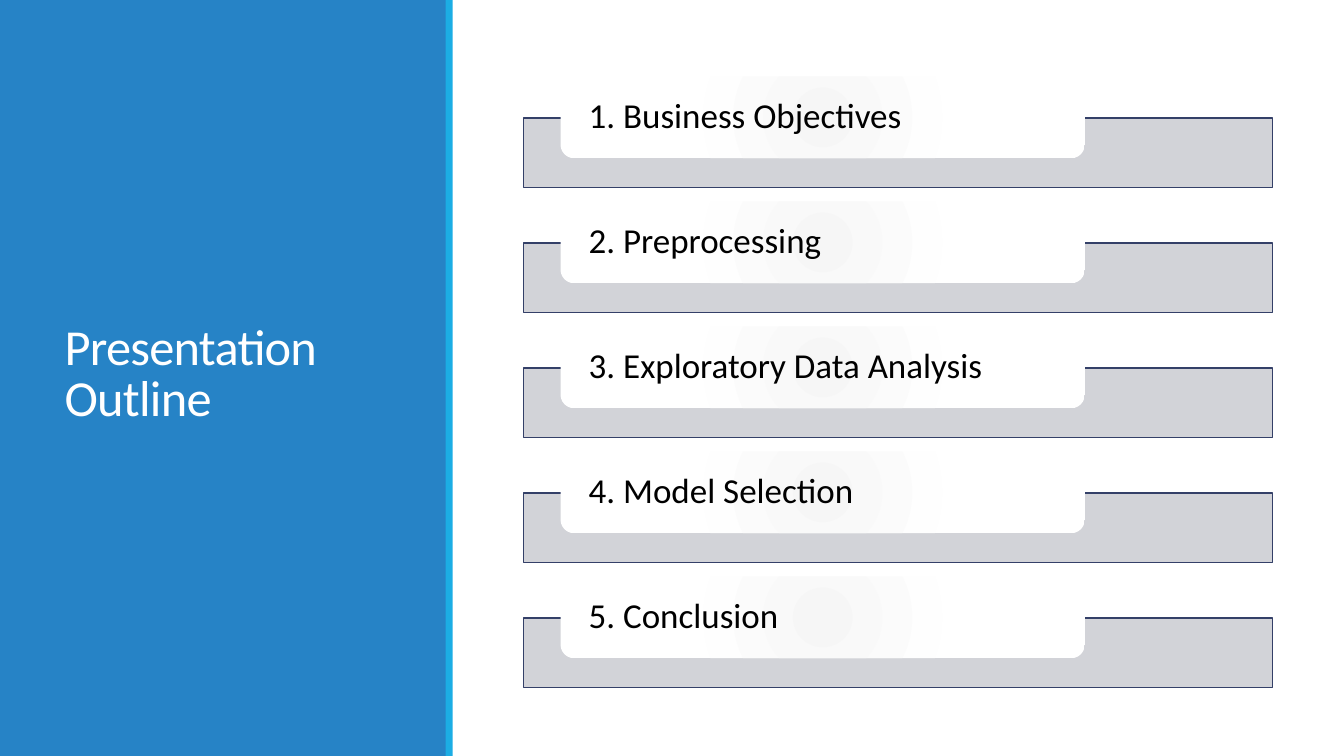
from lxml import etree
from pptx import Presentation
from pptx.dml.color import RGBColor
from pptx.enum.shapes import MSO_SHAPE as SHAPE
from pptx.enum.text import MSO_ANCHOR as ANCHOR, MSO_AUTO_SIZE as AUTO, PP_ALIGN as ALIGN
from pptx.oxml.ns import qn
from pptx.util import Inches, Pt

COLORS = {
    "panel": "2683C6", "stripe": "1CADE4", "bar": "CECFD4", "outline": "344068",
    "glow": "F6F6F6", "tab_mid": "FEFEFE", "tab": "FFFFFF",
    "text": "000000", "title": "FFFFFF",
}
TOPICS = ["Business Objectives", "Preprocessing", "Exploratory Data Analysis",
          "Model Selection", "Conclusion"]
FIRST_BAR_TOP, PITCH = 1.17, 1.24
TAB_RISE = 0.41


def rgb(name):
    """Return the palette colour of that name."""
    return RGBColor.from_string(COLORS[name])


def set_attrs(obj, values):
    """Set each attribute of obj from a dict."""
    for name, value in values.items():
        setattr(obj, name, value)


class SlideBuilder:
    """Holds the text style and the current slide."""

    font = "Calibri"
    tab_stops = [(0, "glow"), (45, "tab_mid"), (100, "tab")]

    def __init__(self, slide):
        """Keep the slide to draw on."""
        self.slide = slide
        self.shapes = slide.shapes

    def shape(self, kind, box, fill=None):
        """Add a preset shape without shadow or line."""
        sp = self.shapes.add_shape(kind, *map(Inches, box))
        sp.shadow.inherit = False
        sp.line.fill.background()
        if fill:
            sp.fill.solid()
            sp.fill.fore_color.rgb = rgb(fill)
        return sp

    def add_text(self, sp, text, size, color, spacing, inset):
        """Put one left-aligned, vertically centred paragraph in a shape."""
        tf = sp.text_frame
        set_attrs(tf, {"word_wrap": True, "auto_size": AUTO.NONE,
                       "vertical_anchor": ANCHOR.MIDDLE,
                       "margin_left": Inches(inset), "margin_right": Inches(inset),
                       "margin_top": 0, "margin_bottom": 0})
        p = tf.paragraphs[0]
        set_attrs(p, {"alignment": ALIGN.LEFT, "line_spacing": spacing})
        r = p.add_run()
        r.text = text
        set_attrs(r.font, {"name": self.font, "size": Pt(size), "bold": False})
        r.font.color.rgb = rgb(color)

    def bar(self, box):
        """Add a slightly transparent outlined bar."""
        sp = self.shape(SHAPE.RECTANGLE, box, "bar")
        clr = sp.element.spPr.find(qn("a:solidFill")).find(qn("a:srgbClr"))
        etree.SubElement(clr, qn("a:alpha"), val="90000")
        sp.line.color.rgb = rgb("outline")
        sp.line.width = Pt(1)

    def tab(self, box, text):
        """Add a rounded label with a faint circular gradient."""
        sp = self.shape(SHAPE.ROUNDED_RECTANGLE, box)
        grad = etree.Element(qn("a:gradFill"), rotWithShape="1")
        stops = etree.SubElement(grad, qn("a:gsLst"))
        for pos, color in self.tab_stops:
            gs = etree.SubElement(stops, qn("a:gs"), pos=str(pos * 1000))
            etree.SubElement(gs, qn("a:srgbClr"), val=COLORS[color])
        circle = etree.SubElement(grad, qn("a:path"), {"path": "circle"})
        etree.SubElement(circle, qn("a:fillToRect"), dict.fromkeys("ltrb", "100000"))
        sp.element.spPr.find(qn("a:prstGeom")).addnext(grad)
        self.add_text(sp, text, 25, "text", 0.9, 0.24)

    def title(self, box, text):
        """Place the title placeholder in front of the shapes drawn so far."""
        sp = self.shapes.title
        set_attrs(sp, dict(zip(("left", "top", "width", "height"), map(Inches, box))))
        self.add_text(sp, text, 36, "title", 0.85, 0.1)
        sp.element.find(".//" + qn("a:rPr")).set("spc", "-50")
        sp.element.getparent().append(sp.element)


def main():
    """Build the outline slide and save it."""
    prs = Presentation()
    set_attrs(prs, {"slide_width": Inches(13.33), "slide_height": Inches(7.5)})
    page = SlideBuilder(prs.slides.add_slide(prs.slide_layouts[5]))

    page.shape(SHAPE.RECTANGLE, (0, 0, 4.43, 7.5), "panel")
    page.shape(SHAPE.RECTANGLE, (4.42, 0, 0.07, 7.5), "stripe")
    for i, topic in enumerate(TOPICS):
        top = FIRST_BAR_TOP + i * PITCH
        page.bar((5.19, top, 7.43, 0.69))
        page.tab((5.56, top - TAB_RISE, 5.2, 0.81), f"{i + 1}. {topic}")
    page.title((0.54, 0.57, 3.37, 6.31), "Presentation Outline")

    prs.save("out.pptx")


main()
